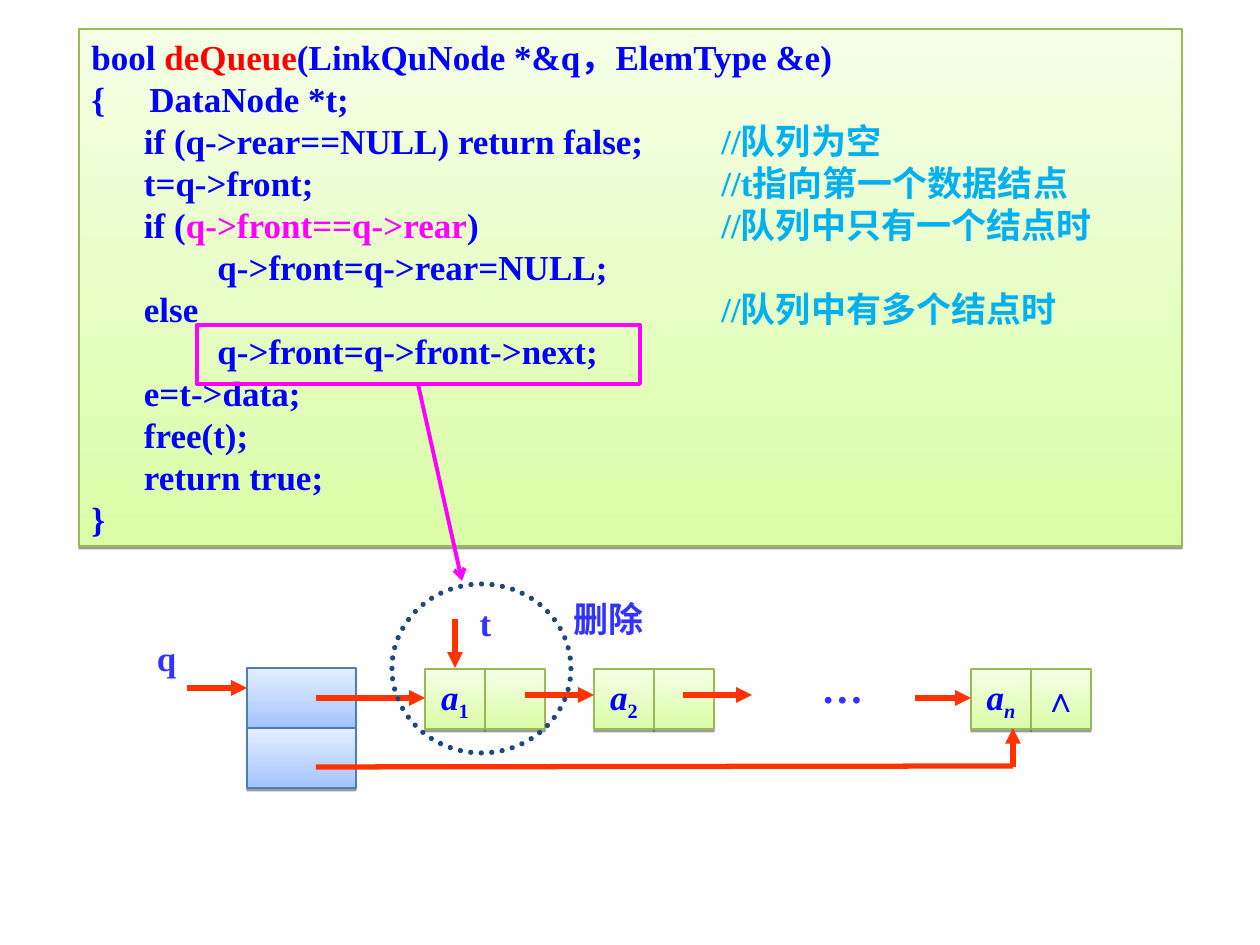
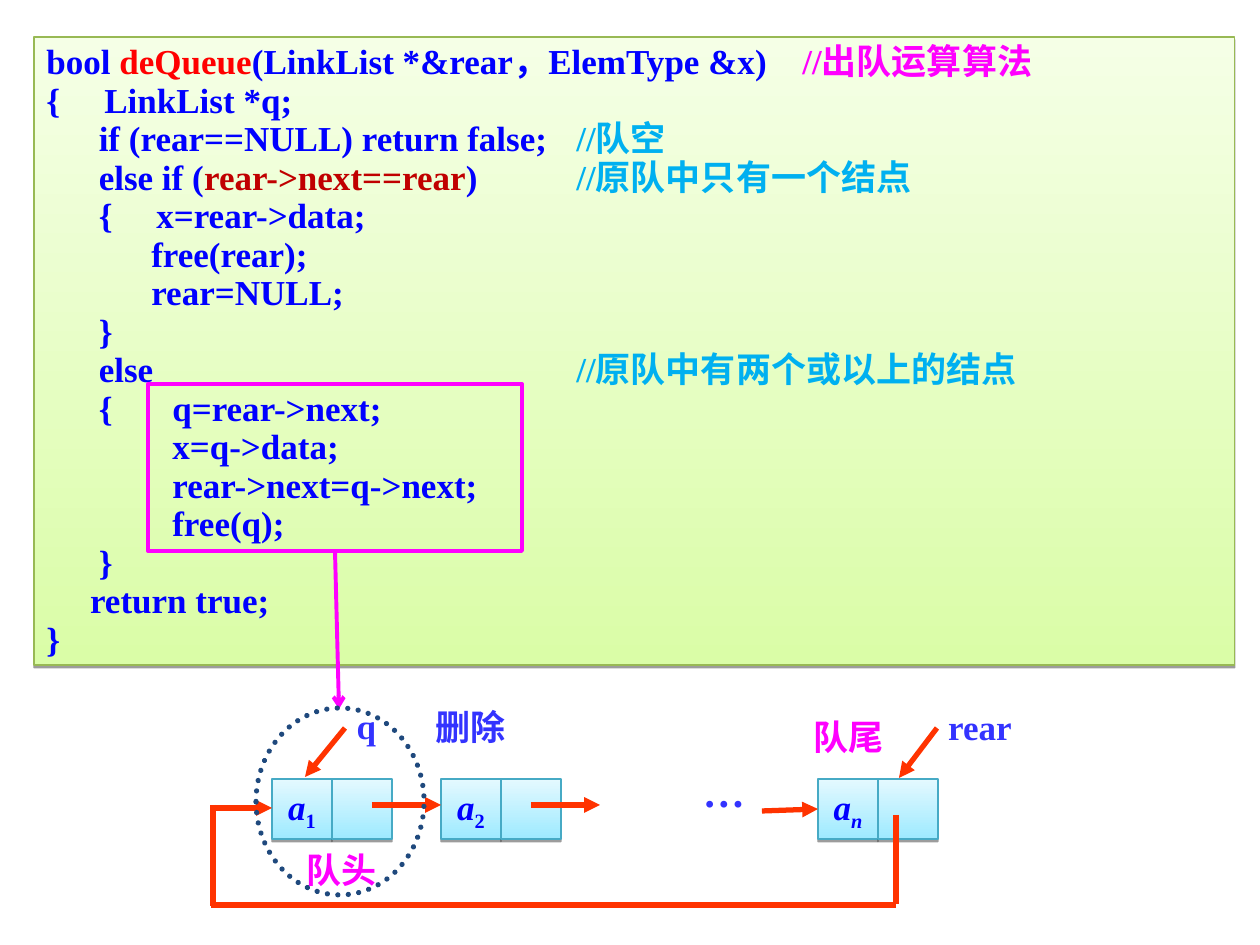
"""Build two slides on removing the head of a linked queue, with code and diagram."""
import lxml.etree
import pptx
import pptx.dml.color
import pptx.enum.dml
import pptx.enum.shapes
import pptx.enum.text
import pptx.oxml.ns
import pptx.util

RGB = pptx.dml.color.RGBColor
BLUE = RGB(0x00, 0x00, 0xFF)
LABEL = RGB(0x33, 0x33, 0xFF)
RED = RGB(0xFF, 0x00, 0x00)
DARK_RED = RGB(0xC0, 0x00, 0x00)
CYAN = RGB(0x00, 0xB0, 0xF0)
MAGENTA = RGB(0xFF, 0x00, 0xFF)
ORANGE = RGB(0xFF, 0x33, 0x00)
NAVY = RGB(0x1F, 0x49, 0x7D)
GREEN_BOX = (RGB(0xDA, 0xFD, 0xA7), RGB(0xF5, 0xFF, 0xE6), RGB(0x98, 0xB9, 0x54))
BLUE_BOX = (RGB(0xA3, 0xC4, 0xFF), RGB(0xE5, 0xEE, 0xFF), RGB(0x4A, 0x7E, 0xBB))
AQUA_BOX = (RGB(0x9E, 0xEA, 0xFF), RGB(0xE4, 0xF9, 0xFF), RGB(0x46, 0xAA, 0xC5))
LATIN, CJK = "Times New Roman", "Noto Sans CJK SC"
PX = 914400 // 126
CELL = 60
SHAPE = pptx.enum.shapes.MSO_SHAPE
ALIGN = pptx.enum.text.PP_ALIGN
ANCHOR = pptx.enum.text.MSO_ANCHOR
Pt = pptx.util.Pt
qn = pptx.oxml.ns.qn


def add_run(p, text, color, size=20, italic=False, baseline=0):
    r = p.add_run()
    r.text = text
    r.font.size, r.font.bold, r.font.italic = Pt(size), True, italic
    r.font.name = LATIN
    r.font.color.rgb = color
    rPr = r._r.get_or_add_rPr()
    lxml.etree.SubElement(rPr, qn("a:ea"), typeface=CJK)
    if baseline:
        rPr.set("baseline", str(baseline * 1000))


def add_box(s, at, colors):
    sp = s.shapes.add_shape(SHAPE.RECTANGLE, *[v * PX for v in at])
    sp.fill.gradient()
    sp.fill.gradient_angle = 90
    for stop, color in zip(sp.fill.gradient_stops, colors):
        stop.color.rgb = color
    sp.line.color.rgb = colors[2]
    sp.line.width = Pt(0.75)
    sp.shadow.inherit = False
    effects = sp._element.spPr.find(qn("a:effectLst"))
    shadow = lxml.etree.SubElement(effects, qn("a:outerShdw"), blurRad="0",
                                   dist="20000", dir="5400000", rotWithShape="0")
    black = lxml.etree.SubElement(shadow, qn("a:srgbClr"), val="000000")
    lxml.etree.SubElement(black, qn("a:alpha"), val="38000")
    return sp


queue_slide = dict(
    panel=(79, 29, 1103, 517), spacing=None, tabs=(58, 126, 630),
    code=[
        [("bool ", BLUE), ("deQueue", RED), ("(LinkQuNode *&q，ElemType &e)", BLUE)],
        [("{\tDataNode *t;", BLUE)],
        [("      if (q->rear==NULL) return false;\t", BLUE), ("//队列为空", CYAN)],
        [("      t=q->front;\t", BLUE), ("//t指向第一个数据结点", CYAN)],
        [("      if (", BLUE), ("q->front==q->rear", MAGENTA), (")\t", BLUE),
         ("//队列中只有一个结点时", CYAN)],
        [("\t\tq->front=q->rear=NULL;", BLUE)],
        [("      else\t\t", BLUE), ("//队列中有多个结点时", CYAN)],
        [("\t\tq->front=q->front->next;", BLUE)],
        [("      e=t->data;", BLUE)],
        [("      free(t);", BLUE)],
        [("      return true;", BLUE)],
        [("}", BLUE)],
    ],
    headers=[(247, 668, 109, CELL), (247, 728, 109, CELL)],
    node_colors=GREEN_BOX, node_top=669,
    nodes=[(425, "1", ""), (594, "2", ""), (971, "n", "∧")],
    labels=[
        ("q", (137, 630, 59, 55), LABEL, 20, ALIGN.CENTER),
        ("t", (461, 595, 49, 55), LABEL, 20, ALIGN.CENTER),
        ("…", (788, 655, 109, 63), LABEL, 24, ALIGN.CENTER),
        ("删除", (561, 591, 118, 55), LABEL, 20, ALIGN.LEFT),
    ],
    arrows=[(187, 688, 247, 688), (316, 698, 425, 698), (525, 695, 594, 695),
            (683, 695, 752, 695), (915, 698, 971, 698), (455, 619, 455, 668),
            (1013, 767, 1013, 728)],
    lines=[(316, 767, 1013, 766)],
    circle=(392, 584, 179, 169), frame=(197, 325, 443, 59),
    pointer=(418, 384, 462, 581),
)
ring_slide = dict(
    panel=(34, 37, 1201, 628), spacing=Pt(22), tabs=(58, 110, 126, 530, 756),
    code=[
        [("bool ", BLUE), ("deQueue", RED), ("(LinkList *&rear，ElemType &x)\t", BLUE),
         ("//出队运算算法", MAGENTA)],
        [("{\tLinkList *q;", BLUE)],
        [("      if (rear==NULL) return false;\t", BLUE), ("//队空", CYAN)],
        [("      else if (", BLUE), ("rear->next==rear", DARK_RED), (")\t", BLUE),
         ("//原队中只有一个结点", CYAN)],
        [("      {\tx=rear->data;", BLUE)],
        [("            free(rear);", BLUE)],
        [("            rear=NULL;", BLUE)],
        [("      }", BLUE)],
        [("      else\t\t\t", BLUE), ("//原队中有两个或以上的结点", CYAN)],
        [("      {\t\tq=rear->next;", BLUE)],
        [("\t\t\tx=q->data;", BLUE)],
        [("\t\t\trear->next=q->next;", BLUE)],
        [("\t\t\tfree(q);", BLUE)],
        [("      }", BLUE)],
        [("     return true;", BLUE)],
        [("}", BLUE)],
    ],
    headers=[], node_colors=AQUA_BOX, node_top=779,
    nodes=[(272, "1", ""), (441, "2", ""), (818, "n", "")],
    labels=[
        ("rear", (925, 699, 110, 55), LABEL, 20, ALIGN.CENTER),
        ("q", (344, 698, 45, 55), LABEL, 20, ALIGN.CENTER),
        ("…", (669, 759, 110, 63), LABEL, 24, ALIGN.CENTER),
        ("删除", (423, 699, 118, 55), LABEL, 20, ALIGN.LEFT),
        ("队头", (282, 842, 120, 55), MAGENTA, 20, ALIGN.CENTER),
        ("队尾", (789, 709, 120, 55), MAGENTA, 20, ALIGN.CENTER),
    ],
    arrows=[(213, 808, 272, 808), (372, 805, 441, 805), (531, 805, 600, 805),
            (762, 811, 818, 809), (937, 728, 899, 778), (345, 728, 305, 777)],
    lines=[(896, 815, 896, 904), (211, 905, 896, 905), (213, 805, 213, 906)],
    circle=(256, 708, 168, 187), frame=(148, 384, 374, 167),
    pointer=(335, 551, 339, 709),
)

prs = pptx.Presentation()
prs.slide_width, prs.slide_height = 1260 * PX, 945 * PX

for d in (queue_slide, ring_slide):
    s = prs.slides.add_slide(prs.slide_layouts[6])

    tf = add_box(s, d["panel"], GREEN_BOX).text_frame
    tf.word_wrap, tf.vertical_anchor = True, ANCHOR.TOP
    for i, runs in enumerate(d["code"]):
        p = tf.add_paragraph() if i else tf.paragraphs[0]
        tab_list = lxml.etree.SubElement(p._p.get_or_add_pPr(), qn("a:tabLst"))
        for x in d["tabs"]:
            lxml.etree.SubElement(tab_list, qn("a:tab"), pos=str(x * PX), algn="l")
        p.alignment, p.line_spacing = ALIGN.LEFT, d["spacing"]
        for text, color in runs:
            add_run(p, text, color)

    for at in d["headers"]:
        add_box(s, at, BLUE_BOX)
    for x, index, link in d["nodes"]:
        data_cell, link_cell = [
            add_box(s, (left, d["node_top"], CELL, CELL), d["node_colors"])
            for left in (x, x + CELL)]
        for sp in (data_cell, link_cell):
            sp.text_frame.word_wrap = False
            sp.text_frame.vertical_anchor = ANCHOR.MIDDLE
            sp.text_frame.paragraphs[0].alignment = ALIGN.CENTER
        p = data_cell.text_frame.paragraphs[0]
        add_run(p, "a", BLUE, italic=True)
        add_run(p, index, BLUE, italic=index == "n", baseline=-25)
        if link:
            add_run(link_cell.text_frame.paragraphs[0], link, BLUE)

    for text, at, color, size, align in d["labels"]:
        tf = s.shapes.add_textbox(*[v * PX for v in at]).text_frame
        tf.word_wrap = True
        p = tf.paragraphs[0]
        p.alignment = align
        add_run(p, text, color, size)

    for ends, color, width, head in (
            [(a, ORANGE, 3, "triangle") for a in d["arrows"]]
            + [(a, ORANGE, 3, None) for a in d["lines"]]
            + [(d["pointer"], MAGENTA, 2.25, "arrow")]):
        c = s.shapes.add_connector(pptx.enum.shapes.MSO_CONNECTOR.STRAIGHT,
                                   *[v * PX for v in ends])
        c.line.color.rgb, c.line.width = color, Pt(width)
        if head:
            lxml.etree.SubElement(c.line._get_or_add_ln(), qn("a:tailEnd"), type=head)
        lxml.etree.SubElement(c._element.spPr, qn("a:effectLst"))

    for kind, at, color, width in ((SHAPE.OVAL, d["circle"], NAVY, 3),
                                   (SHAPE.RECTANGLE, d["frame"], MAGENTA, 2.25)):
        sp = s.shapes.add_shape(kind, *[v * PX for v in at])
        sp.fill.background()
        sp.line.color.rgb, sp.line.width = color, Pt(width)
        sp.shadow.inherit = False
        if kind == SHAPE.OVAL:
            sp.line.dash_style = pptx.enum.dml.MSO_LINE.ROUND_DOT
            sp.line._get_or_add_ln().set("cap", "rnd")

prs.save("out.pptx")
